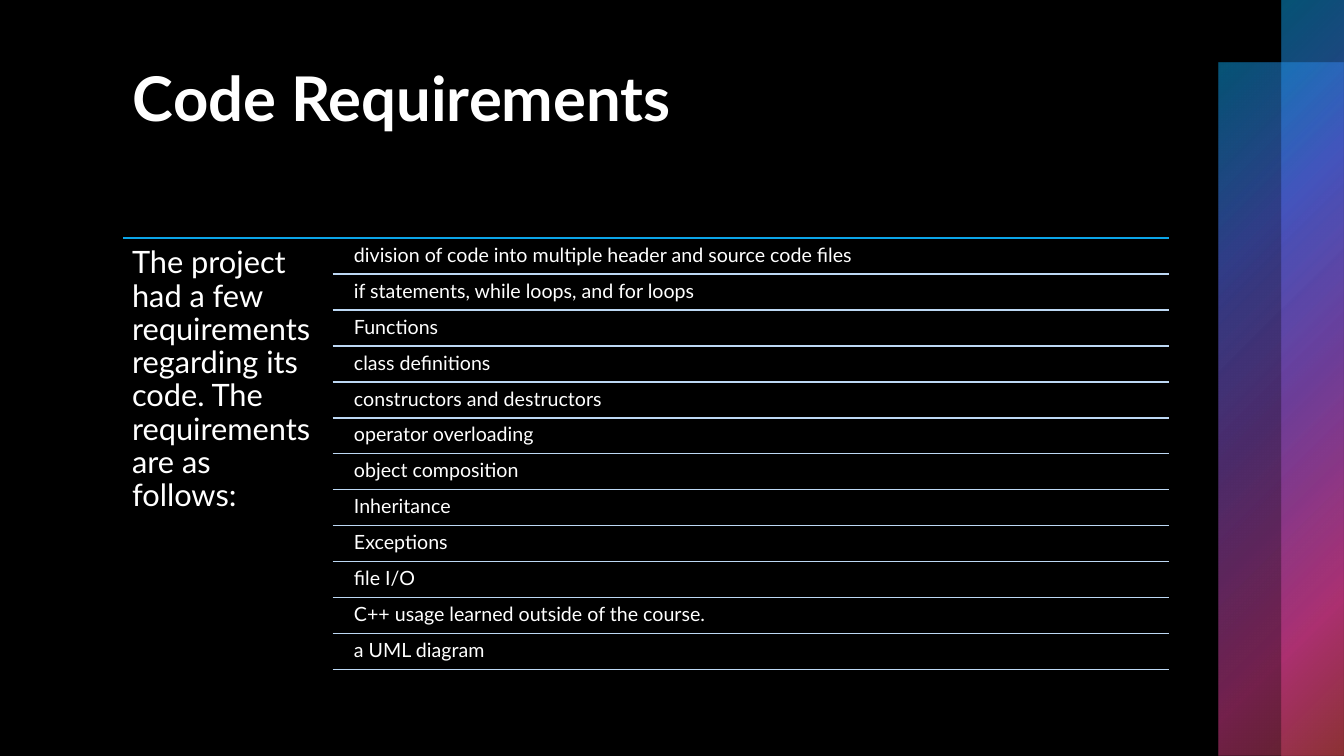
from dataclasses import dataclass

from lxml import etree
from pptx import Presentation
from pptx.dml.color import RGBColor
from pptx.enum.shapes import MSO_CONNECTOR, MSO_SHAPE
from pptx.enum.text import MSO_ANCHOR, MSO_AUTO_SIZE, PP_ALIGN
from pptx.oxml import parse_xml
from pptx.oxml.ns import nsdecls, qn
from pptx.shapes.base import BaseShape
from pptx.slide import Slide
from pptx.text.text import TextFrame
from pptx.util import Cm, Emu, Length, Pt

RECTANGLE = MSO_SHAPE.RECTANGLE
STRAIGHT = MSO_CONNECTOR.STRAIGHT
TOP = MSO_ANCHOR.TOP
LEFT = PP_ALIGN.LEFT
NO_AUTOFIT = MSO_AUTO_SIZE.NONE


@dataclass(frozen=True)
class Theme:
    font: str = "Lato"
    background: RGBColor = RGBColor(0, 0, 0)
    text: RGBColor = RGBColor(255, 255, 255)
    accent: RGBColor = RGBColor(0x0B, 0xA5, 0xE8)
    separator: RGBColor = RGBColor(0xBD, 0xD8, 0xF4)
    title_size: Length = Pt(44)
    intro_size: Length = Pt(22)
    item_size: Length = Pt(14)
    rule_width: Length = Pt(1)
    gradient: tuple[tuple[int, str, int], ...] = (
        (0, "0BA5E8", 50),
        (25, "5066E1", 60),
        (50, "894EC0", 55),
        (81, "E54196", 50),
        (99, "BE4449", 50),
    )


@dataclass(frozen=True)
class Area:
    left: Length
    top: Length
    width: Length
    height: Length


@dataclass(frozen=True)
class Rule:
    left: Length
    right: Length
    y: Length
    color: RGBColor


THEME = Theme()
SLIDE_WIDTH, SLIDE_HEIGHT = Cm(33.87), Cm(19.05)
TITLE = "Code Requirements"
INTRO = (
    "The project had a few requirements regarding its code. "
    "The requirements are as follows:"
)
REQUIREMENTS = (
    "division of code into multiple header and source code files",
    "if statements, while loops, and for loops",
    "Functions",
    "class definitions",
    "constructors and destructors",
    "operator overloading",
    "object composition",
    "Inheritance",
    "Exceptions",
    "file I/O",
    "C++ usage learned outside of the course.",
    "a UML diagram",
)

CONTENT_LEFT, CONTENT_RIGHT = Cm(3.1), Cm(29.46)
CONTENT_WIDTH = Emu(CONTENT_RIGHT - CONTENT_LEFT)
LIST_TOP, LIST_BOTTOM = Cm(6), Cm(16.87)
LIST_HEIGHT = Emu(LIST_BOTTOM - LIST_TOP)
ROW_HEIGHT = Emu(LIST_HEIGHT // len(REQUIREMENTS))
SEPARATOR_LEFT, ITEM_LEFT = Cm(8.38), Cm(8.92)
TEXT_RAISE = Cm(0.2)
BAND = Cm(1.58)

TITLE_AREA = Area(CONTENT_LEFT, Cm(1.27), CONTENT_WIDTH, Cm(4.32))
INTRO_AREA = Area(CONTENT_LEFT, LIST_TOP, Cm(5.26), LIST_HEIGHT)
LIST_AREA = Area(
    ITEM_LEFT,
    Emu(LIST_TOP - TEXT_RAISE),
    Emu(CONTENT_RIGHT - ITEM_LEFT),
    LIST_HEIGHT,
)
BANDS = (
    Area(Emu(SLIDE_WIDTH - 2 * BAND), BAND, Emu(2 * BAND), Emu(SLIDE_HEIGHT - BAND)),
    Area(Emu(SLIDE_WIDTH - BAND), Emu(0), BAND, SLIDE_HEIGHT),
)
RULES = (
    Rule(CONTENT_LEFT, CONTENT_RIGHT, LIST_TOP, THEME.accent),
    *(
        Rule(SEPARATOR_LEFT, CONTENT_RIGHT, Emu(LIST_TOP + row * ROW_HEIGHT), THEME.separator)
        for row in range(1, len(REQUIREMENTS) + 1)
    ),
)


def draw_band(page: Slide, area: Area) -> None:
    band = page.shapes.add_shape(RECTANGLE, area.left, area.top, area.width, area.height)
    band.shadow.inherit = False
    band.line.fill.background()
    band.fill.background()
    stops = "".join(
        f'<a:gs pos="{position * 1000}"><a:srgbClr val="{color}">'
        f'<a:alpha val="{alpha * 1000}"/></a:srgbClr></a:gs>'
        for position, color, alpha in THEME.gradient
    )
    gradient = parse_xml(
        f'<a:gradFill {nsdecls("a")} rotWithShape="1"><a:gsLst>{stops}</a:gsLst>'
        '<a:path path="circle"><a:fillToRect r="100000" b="100000"/></a:path>'
        "</a:gradFill>"
    )
    properties = band.element.spPr
    properties.replace(properties.find(qn("a:noFill")), gradient)


def draw_rule(page: Slide, rule: Rule) -> None:
    line = page.shapes.add_connector(STRAIGHT, rule.left, rule.y, rule.right, rule.y)
    line.line.color.rgb = rule.color
    line.line.width = THEME.rule_width
    etree.SubElement(line.element.spPr, qn("a:effectLst"))


def place(shape: BaseShape, area: Area) -> None:
    shape.left, shape.top = area.left, area.top
    shape.width, shape.height = area.width, area.height


def write(
    frame: TextFrame,
    lines: tuple[str, ...],
    size: Length,
    spacing: float | Length,
    inset: Length,
    bold: bool = False,
) -> None:
    frame.word_wrap = True
    frame.auto_size = NO_AUTOFIT
    frame.vertical_anchor = TOP
    frame.margin_left = frame.margin_right = inset
    frame.margin_top = frame.margin_bottom = inset
    frame.text = "\n".join(lines)
    for para in frame.paragraphs:
        para.alignment = LEFT
        para.line_spacing = spacing
        para.space_before = para.space_after = Pt(0)
        para.font.name = THEME.font
        para.font.size = size
        para.font.bold = bold
        para.font.color.rgb = THEME.text


def remove_bullets(frame: TextFrame) -> None:
    for para in frame.paragraphs:
        properties = para._p.get_or_add_pPr()
        properties.set("marL", "0")
        properties.set("indent", "0")
        properties.find(qn("a:spcAft")).addnext(parse_xml(f'<a:buNone {nsdecls("a")}/>'))


deck = Presentation()
deck.slide_width, deck.slide_height = SLIDE_WIDTH, SLIDE_HEIGHT
page = deck.slides.add_slide(deck.slide_layouts[1])
page.background.fill.solid()
page.background.fill.fore_color.rgb = THEME.background

for band_area in BANDS:
    draw_band(page, band_area)
for rule in RULES:
    draw_rule(page, rule)

title = page.shapes.title
place(title, TITLE_AREA)
write(title.text_frame, (TITLE,), THEME.title_size, 1.0, Cm(0.25), bold=True)

intro = page.shapes.add_textbox(
    INTRO_AREA.left, INTRO_AREA.top, INTRO_AREA.width, INTRO_AREA.height
)
write(intro.text_frame, (INTRO,), THEME.intro_size, 0.9, Cm(0.23))

requirements = page.placeholders[1]
place(requirements, LIST_AREA)
write(requirements.text_frame, REQUIREMENTS, THEME.item_size, ROW_HEIGHT, Cm(0))
remove_bullets(requirements.text_frame)

deck.save("out.pptx")
